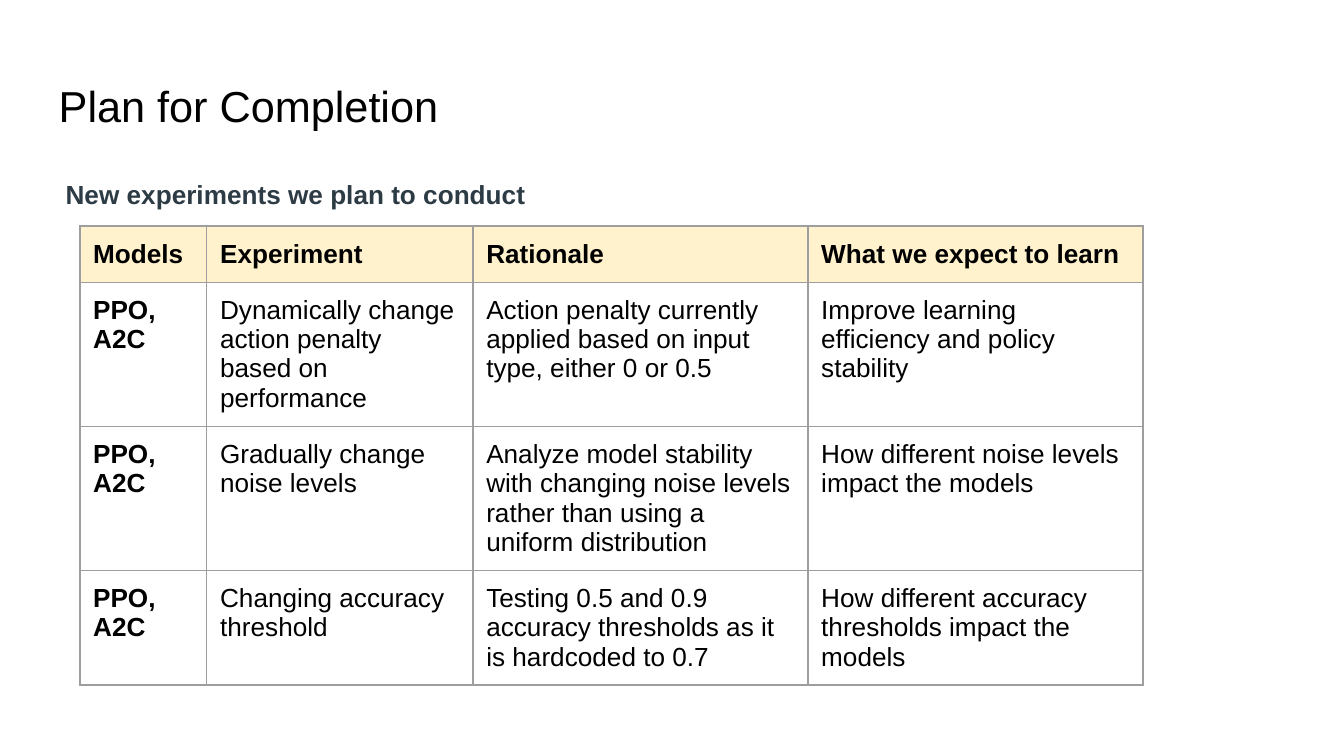
from lxml.etree import SubElement
from pptx import Presentation
from pptx.dml.color import RGBColor
from pptx.enum.text import MSO_ANCHOR, MSO_AUTO_SIZE, PP_ALIGN
from pptx.oxml.ns import qn
from pptx.util import Cm, Pt

TITLE = "Plan for Completion"
SUBTITLE = "New experiments we plan to conduct"
ROWS = [
    ("Models", "Experiment", "Rationale", "What we expect to learn"),
    ("PPO, A2C",
     "Dynamically change action penalty based on performance",
     "Action penalty currently applied based on input type, either 0 or 0.5",
     "Improve learning efficiency and policy stability"),
    ("PPO, A2C",
     "Gradually change noise levels",
     "Analyze model stability with changing noise levels rather than using a uniform distribution",
     "How different noise levels impact the models"),
    ("PPO, A2C",
     "Changing accuracy threshold",
     "Testing 0.5 and 0.9 accuracy thresholds as it is hardcoded to 0.7",
     "How different accuracy thresholds impact the models"),
]
COL_WIDTHS = [2.4, 5.03, 6.33, 6.33]
ROW_HEIGHTS = [1.06, 2.72, 2.72, 2.16]
INSET = Cm(0.25)


def color(value):
    return RGBColor.from_string(value)


def write(tf, text, size=14, bold=False, ink="000000", spacing=1.0):
    tf.word_wrap = True
    p = tf.paragraphs[0]
    p.alignment = PP_ALIGN.LEFT
    p.line_spacing = spacing
    p.space_before = Pt(0)
    r = p.add_run()
    r.text = text
    r.font.name = "Arial"
    r.font.size = Pt(size)
    r.font.bold = bold
    r.font.color.rgb = color(ink)
    return p


def place(sp, left, top, width, height):
    sp.left, sp.top, sp.width, sp.height = map(Cm, (left, top, width, height))
    tf = sp.text_frame
    tf.margin_left = tf.margin_right = tf.margin_top = tf.margin_bottom = INSET
    tf.vertical_anchor = MSO_ANCHOR.TOP
    tf.auto_size = MSO_AUTO_SIZE.NONE
    return tf


def set_borders(cell, ink, width):
    tc_pr = cell._tc.get_or_add_tcPr()
    for i, side in enumerate(("a:lnL", "a:lnR", "a:lnT", "a:lnB")):
        ln = tc_pr.makeelement(qn(side), {"w": str(Pt(width))})
        fill = SubElement(ln, qn("a:solidFill"))
        SubElement(fill, qn("a:srgbClr"), val=ink)
        tc_pr.insert(i, ln)


def add_grid(s, left, top):
    frame = s.shapes.add_table(len(ROWS), len(COL_WIDTHS), Cm(left), Cm(top),
                               Cm(sum(COL_WIDTHS)), Cm(sum(ROW_HEIGHTS)))
    table = frame.table
    for col, width in zip(table.columns, COL_WIDTHS):
        col.width = Cm(width)
    for row, height in zip(table.rows, ROW_HEIGHTS):
        row.height = Cm(height)
    for i, texts in enumerate(ROWS):
        for j, text in enumerate(texts):
            cell = table.cell(i, j)
            cell.margin_left = cell.margin_right = INSET
            cell.margin_top = cell.margin_bottom = INSET
            cell.fill.solid()
            cell.fill.fore_color.rgb = color("FFF2CC" if i == 0 else "FFFFFF")
            write(cell.text_frame, text, bold=i == 0 or j == 0)
            set_borders(cell, "9E9E9E", 0.75)


def main():
    prs = Presentation()
    prs.slide_width, prs.slide_height = Cm(25.4), Cm(14.28)
    s = prs.slides.add_slide(prs.slide_layouts[1])

    write(place(s.shapes.title, 0.86, 1.24, 23.67, 1.6), TITLE, size=23.2)

    body = s.placeholders[1]
    body.line.color.rgb = color("FFFFFF")
    body.line.width = Pt(0.75)
    p = write(place(body, 0.99, 2.82, 23.67, 9.5), SUBTITLE,
              bold=True, ink="2D3B45", spacing=1.5)
    p_pr = p._p.get_or_add_pPr()
    p_pr.set("marL", "0")
    p_pr.set("indent", "0")
    SubElement(p_pr, qn("a:buNone"))

    add_grid(s, 1.51, 4.27)
    prs.save("out.pptx")


if __name__ == "__main__":
    main()
